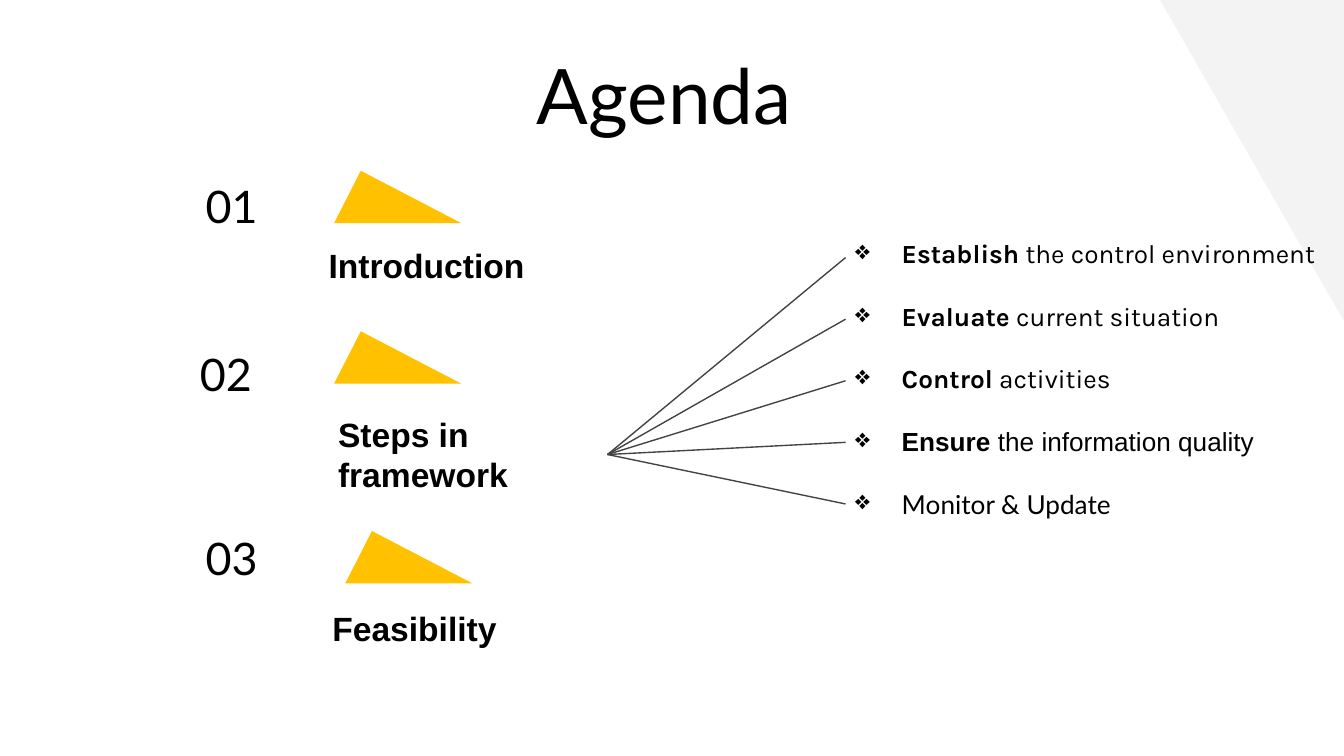
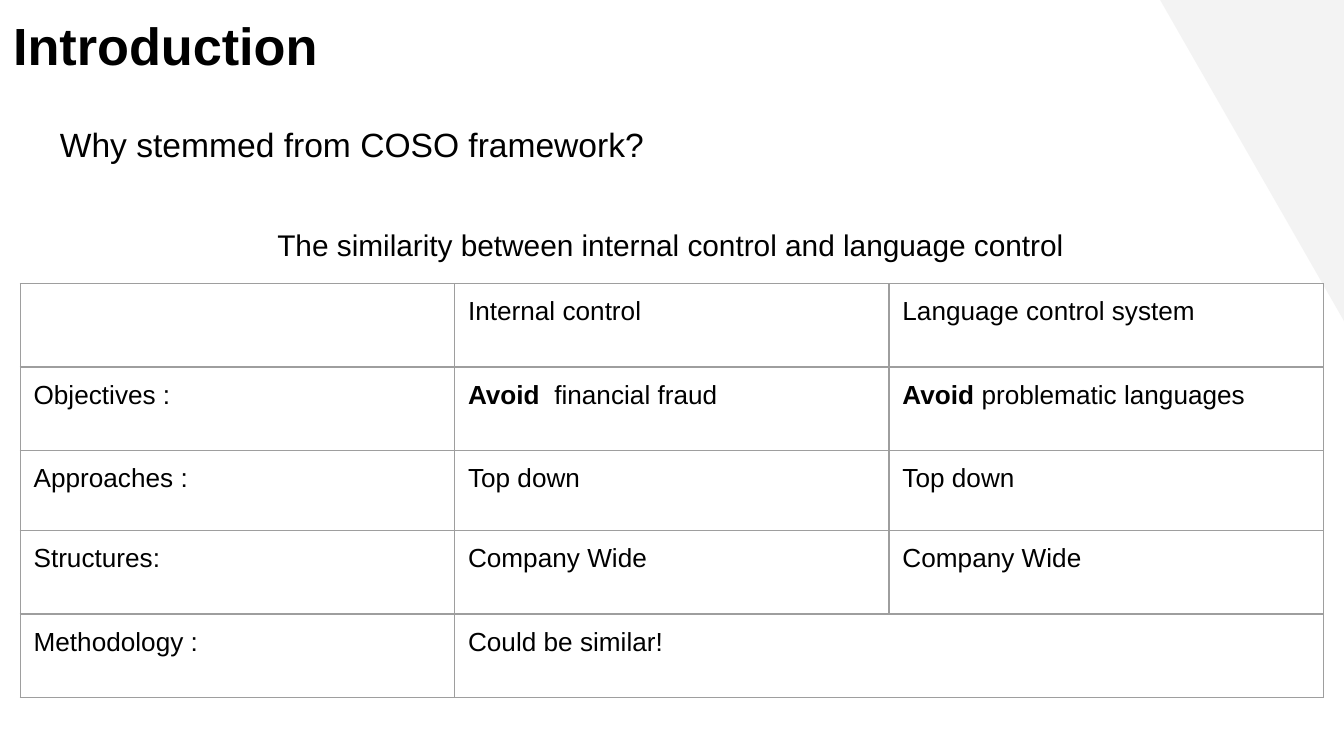
"""Build the agenda and introduction slides of the control framework deck."""
from dataclasses import dataclass

from pptx import Presentation
from pptx.dml.color import RGBColor
from pptx.enum.shapes import MSO_CONNECTOR as Connector, MSO_SHAPE as Shape
from pptx.enum.text import MSO_ANCHOR as Anchor, PP_ALIGN as Align
from pptx.oxml import parse_xml
from pptx.oxml.ns import nsdecls
from pptx.util import Pt


@dataclass(frozen=True)
class Theme:
    text: str = "000000"
    accent: str = "FFC100"
    corner: str = "F3F3F3"
    line: str = "434343"
    border: str = "9E9E9E"
    body_font: str = "Arial"
    title_font: str = "Lato"
    list_font: str = "Karla"
    title: int = 41
    headline: int = 28
    number: int = 24
    heading: int = 18
    caption: int = 16
    body: int = 14
    inset: float = 7.2
    stroke: float = 0.75


class Deck:
    def __init__(self, theme):
        self.theme = theme
        self.presentation = Presentation()
        self.presentation.slide_width = Pt(720)
        self.presentation.slide_height = Pt(405)
        self.slide = None

    def new_slide(self):
        layout = self.presentation.slide_layouts[6]
        self.slide = self.presentation.slides.add_slide(layout)
        corner = self.shape(Shape.RIGHT_TRIANGLE, 621.5, 0, 98.5, 172, self.theme.corner)
        corner.rotation = 180

    def shape(self, kind, left, top, width, height, color):
        shape = self.slide.shapes.add_shape(kind, Pt(left), Pt(top), Pt(width), Pt(height))
        shape.shadow.inherit = False
        shape.fill.solid()
        shape.fill.fore_color.rgb = RGBColor.from_string(color)
        shape.line.fill.background()
        return shape

    def marker(self, left, top):
        triangle = self.shape(Shape.ISOSCELES_TRIANGLE, left, top, 68, 28, self.theme.accent)
        triangle.adjustments[0] = 0.21

    def fill_paragraph(self, paragraph, text, size, font=None, bold=False, lead=""):
        paragraph.text = lead or text
        if lead:
            paragraph.add_run().text = text
        for index, run in enumerate(paragraph.runs):
            run.font.name = font or self.theme.body_font
            run.font.size = Pt(size)
            run.font.bold = bold or bool(lead and index == 0)
            run.font.color.rgb = RGBColor.from_string(self.theme.text)

    def text_frame(self, left, top, width, height):
        box = self.slide.shapes.add_textbox(Pt(left), Pt(top), Pt(width), Pt(height))
        frame = box.text_frame
        frame.word_wrap = True
        frame.margin_left = frame.margin_right = Pt(self.theme.inset)
        frame.margin_top = frame.margin_bottom = Pt(self.theme.inset)
        return frame

    def text(self, left, top, width, height, text, size, font=None, bold=False,
             align=Align.LEFT, anchor=Anchor.TOP):
        frame = self.text_frame(left, top, width, height)
        frame.vertical_anchor = anchor
        paragraph = frame.paragraphs[0]
        paragraph.alignment = align
        self.fill_paragraph(paragraph, text, size, font, bold)

    def bullets(self, left, top, width, height, items):
        frame = self.text_frame(left, top, width, height)
        for index, (lead, text, font) in enumerate(items):
            paragraph = frame.add_paragraph() if index else frame.paragraphs[0]
            paragraph.line_spacing = Pt(17)
            paragraph.space_before = Pt(16.5 if index else 0)
            properties = paragraph._p.get_or_add_pPr()
            properties.set("marL", str(Pt(36)))
            properties.set("indent", str(Pt(-25)))
            properties.append(parse_xml(
                f'<a:buClr {nsdecls("a")}><a:srgbClr val="{self.theme.text}"/></a:buClr>'))
            properties.append(parse_xml(f'<a:buChar {nsdecls("a")} char="❖"/>'))
            self.fill_paragraph(paragraph, text, self.theme.body, font, lead=lead)

    def line(self, start, end):
        connector = self.slide.shapes.add_connector(
            Connector.STRAIGHT, *(Pt(value) for value in (*start, *end)))
        connector.line.color.rgb = RGBColor.from_string(self.theme.line)
        connector.line.width = Pt(self.theme.stroke)
        connector._element.spPr.append(parse_xml(f'<a:effectLst {nsdecls("a")}/>'))

    def style_cell(self, cell):
        cell.margin_left = cell.margin_right = Pt(self.theme.inset)
        cell.margin_top = cell.margin_bottom = Pt(self.theme.inset)
        properties = cell._tc.get_or_add_tcPr()
        for side in ("lnL", "lnR", "lnT", "lnB"):
            properties.append(parse_xml(
                f'<a:{side} {nsdecls("a")} w="{Pt(self.theme.stroke)}"><a:solidFill>'
                f'<a:srgbClr val="{self.theme.border}"/></a:solidFill></a:{side}>'))
        cell.fill.background()

    def table(self, left, top, column_width, row_heights, rows):
        columns = len(rows[0])
        table = self.slide.shapes.add_table(
            len(rows), columns, Pt(left), Pt(top),
            Pt(column_width * columns), Pt(sum(row_heights))).table
        table.first_row = table.horz_banding = False
        for column in table.columns:
            column.width = Pt(column_width)
        for row_index, (height, row) in enumerate(zip(row_heights, rows)):
            table.rows[row_index].height = Pt(height)
            for column_index in range(columns):
                self.style_cell(table.cell(row_index, column_index))
            for column_index, (lead, text) in enumerate(row):
                paragraph = table.cell(row_index, column_index).text_frame.paragraphs[0]
                self.fill_paragraph(paragraph, text, self.theme.body, lead=lead)
            if len(row) < columns:
                table.cell(row_index, len(row) - 1).merge(table.cell(row_index, columns - 1))


def build_agenda(deck):
    theme = deck.theme
    deck.new_slide()
    deck.text(37, 18.7, 638, 45, "Agenda", theme.title, theme.title_font, align=Align.CENTER)
    topics = [
        ("01", (103, 96), (179, 91.5), "Introduction", (169, 124, 177, 36)),
        ("02", (100, 186), (179, 177.5), "Steps in framework", (174, 214.5, 151, 58)),
        ("03", (103, 284.5), (185, 284.5), "Feasibility", (171, 318.5, 236, 37)),
    ]
    for number, number_place, marker_place, heading, heading_box in topics:
        deck.marker(*marker_place)
        deck.text(*number_place, 85, 28, number, theme.number, theme.title_font,
                  anchor=Anchor.MIDDLE)
        deck.text(*heading_box, heading, theme.heading, bold=True)
    steps = [
        ("Establish", " the control environment", theme.list_font),
        ("Evaluate", " current situation", theme.list_font),
        ("Control", " activities", theme.list_font),
        ("Ensure ", "the information quality", theme.body_font),
        ("", "Monitor & Update", theme.title_font),
    ]
    deck.bullets(440, 120, 276, 166, steps)
    for index in range(len(steps)):
        deck.line((325.5, 243.5), (453, 138 + 33 * index))


def build_introduction(deck):
    theme = deck.theme
    deck.new_slide()
    deck.text(0, 0, 463, 48, "Introduction", theme.headline, bold=True)
    deck.text(25, 59, 540, 36, "Why stemmed from COSO framework?", theme.heading)
    deck.table(10.8, 152, 232.75, [44.7, 44.7, 43, 44.7, 44.7], [
        [("", ""), ("", "Internal control"), ("", "Language control system")],
        [("", "Objectives :"), ("Avoid", "  financial fraud"),
         ("Avoid ", "problematic languages")],
        [("", "Approaches :"), ("", "Top down"), ("", "Top down")],
        [("", "Structures:"), ("", "Company Wide"), ("", "Company Wide")],
        [("", "Methodology :"), ("", "Could be similar!")],
    ])
    deck.text(141.5, 114.5, 463, 34,
              "The similarity between internal control and language control", theme.caption)


def main():
    deck = Deck(Theme())
    build_agenda(deck)
    build_introduction(deck)
    deck.presentation.save("out.pptx")


if __name__ == "__main__":
    main()
